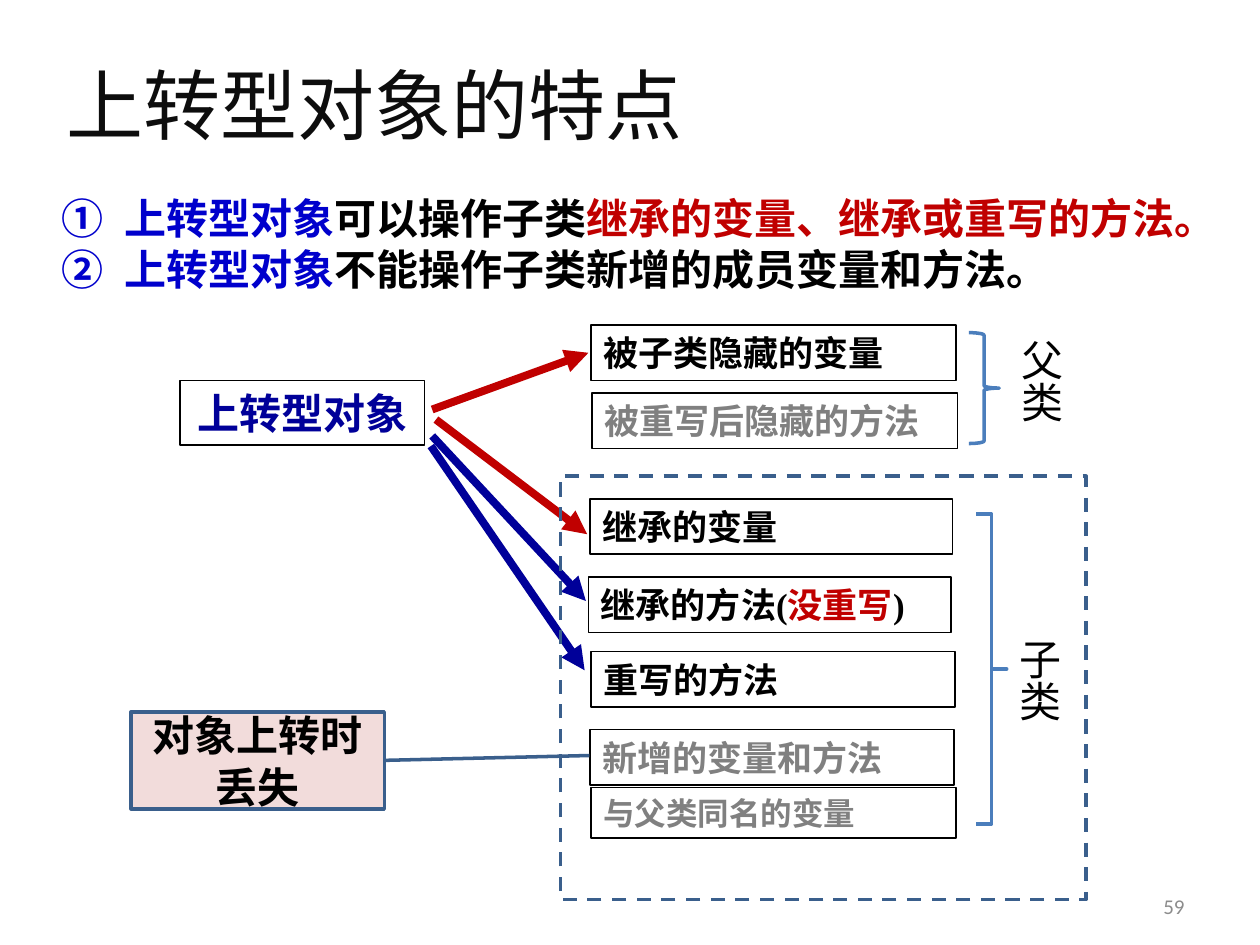
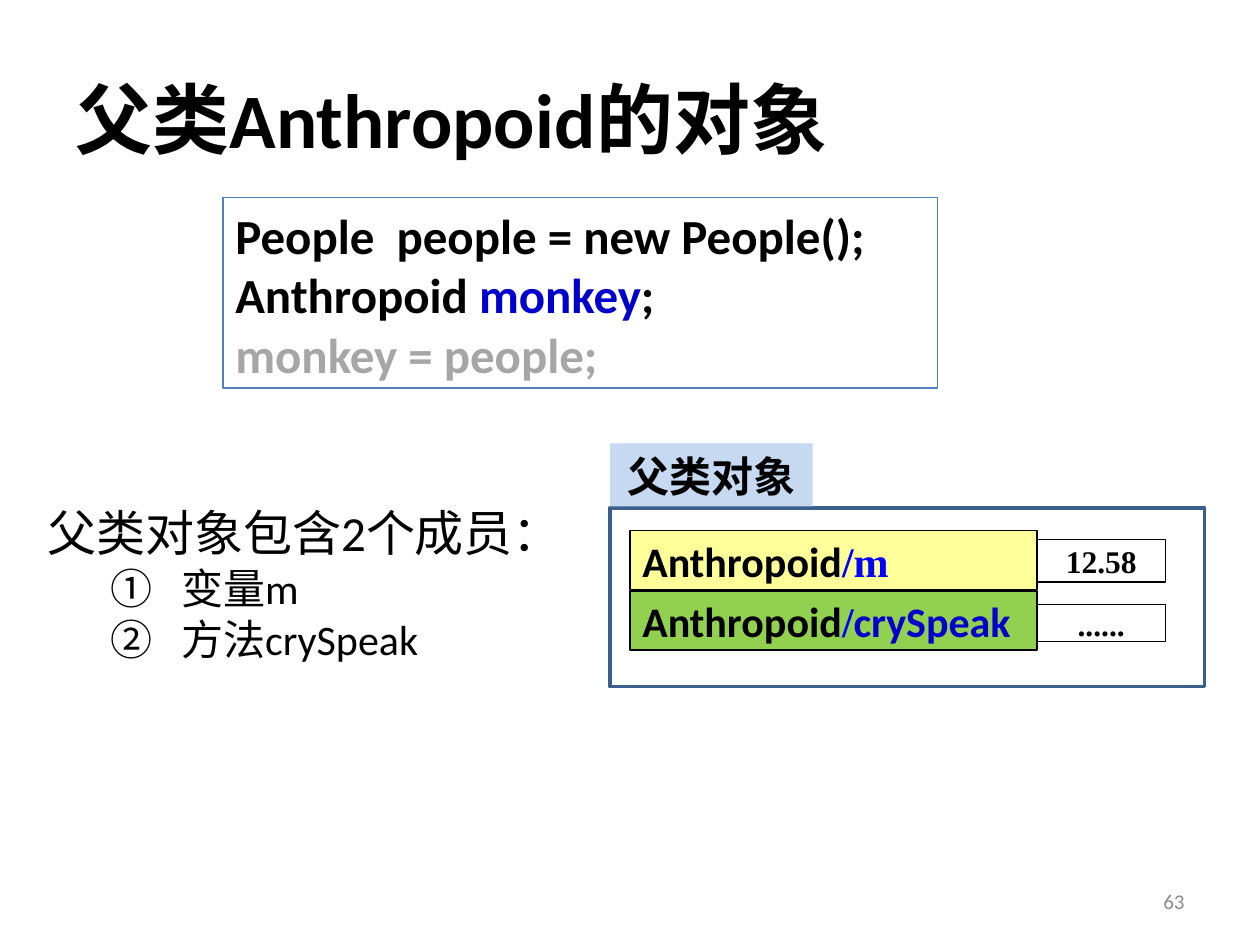
from typing import NamedTuple, Optional

from lxml.etree import SubElement
from pptx import Presentation
from pptx.dml.color import RGBColor
from pptx.enum.dml import MSO_LINE
from pptx.enum.shapes import MSO_CONNECTOR, MSO_SHAPE
from pptx.enum.text import MSO_ANCHOR, MSO_AUTO_SIZE, PP_ALIGN
from pptx.oxml.ns import qn
from pptx.shapes.autoshape import Shape
from pptx.slide import Slide
from pptx.text.text import TextFrame
from pptx.util import Emu, Pt

PX = 9144  # EMU, 100 px to the inch
LINE_HEIGHT = 1.22

CALIBRI = "Calibri"
TIMES = "Times New Roman"
HAN = "Noto Sans CJK SC"

BLACK = RGBColor(0x00, 0x00, 0x00)
INK = RGBColor(0x0D, 0x0D, 0x0D)
GRAY = RGBColor(0x80, 0x80, 0x80)
PALE_GRAY = RGBColor(0xA6, 0xA6, 0xA6)
NUMBER_GRAY = RGBColor(0x8C, 0x8C, 0x8C)
RED = RGBColor(0xC0, 0x00, 0x00)
BLUE = RGBColor(0x00, 0x00, 0xCC)
BRIGHT_BLUE = RGBColor(0x00, 0x00, 0xFF)
NAVY = RGBColor(0x00, 0x00, 0x99)
STEEL = RGBColor(0x3A, 0x5F, 0x8C)
BRACE_BLUE = RGBColor(0x4B, 0x7E, 0xBC)
CODE_BORDER = RGBColor(0x4F, 0x81, 0xBD)
PINK = RGBColor(0xF2, 0xDC, 0xDB)
GREEN = RGBColor(0x92, 0xD0, 0x50)
YELLOW = RGBColor(0xFF, 0xFF, 0x99)
PALE_BLUE = RGBColor(0xC6, 0xD9, 0xF1)


class Box(NamedTuple):
    left: int
    top: int
    width: int
    height: int

    def emu(self) -> list[Emu]:
        return [Emu(length * PX) for length in self]


class Phrase(NamedTuple):
    text: str
    color: RGBColor = BLACK
    font: Optional[str] = None


class Line(NamedTuple):
    phrases: list[Phrase]
    size: int
    font: str = CALIBRI
    bold: bool = True
    align: PP_ALIGN = PP_ALIGN.LEFT
    indent: Optional[tuple[int, int]] = None  # margin and hanging width, numbered


class Look(NamedTuple):
    border: Optional[RGBColor] = BLACK
    weight: float = 1
    fill: Optional[RGBColor] = None
    dashed: bool = False


class Arrow(NamedTuple):
    start: tuple[int, int]
    end: tuple[int, int]
    color: RGBColor


class Member(NamedTuple):
    box: Box
    phrases: list[Phrase]
    size: int = 20


def write(frame: TextFrame, lines: list[Line], anchor: MSO_ANCHOR = MSO_ANCHOR.TOP) -> None:
    frame.word_wrap = True
    frame.auto_size = MSO_AUTO_SIZE.NONE
    frame.vertical_anchor = anchor
    for index, line in enumerate(lines):
        paragraph = frame.add_paragraph() if index else frame.paragraphs[0]
        if line.indent:
            margin, hanging = line.indent
            properties = paragraph._p.get_or_add_pPr()
            properties.set("marL", str(margin * PX))
            properties.set("indent", str(-hanging * PX))
            SubElement(properties, qn("a:buAutoNum"), type="circleNumDbPlain")
        paragraph.alignment = line.align
        paragraph.line_spacing = Pt(round(line.size * LINE_HEIGHT, 1))
        for phrase in line.phrases:
            run = paragraph.add_run()
            run.text = phrase.text
            run.font.size = Pt(line.size)
            run.font.bold = line.bold
            run.font.color.rgb = phrase.color
            run.font.name = phrase.font or line.font
            SubElement(run._r.get_or_add_rPr(), qn("a:ea"), typeface=HAN)


def add_text(slide: Slide, box: Box, lines: list[Line],
             anchor: MSO_ANCHOR = MSO_ANCHOR.TOP) -> Shape:
    label = slide.shapes.add_textbox(*box.emu())
    write(label.text_frame, lines, anchor)
    return label


def add_figure(slide: Slide, kind: MSO_SHAPE, box: Box, look: Look,
               adjustments: tuple[float, ...] = ()) -> Shape:
    figure = slide.shapes.add_shape(kind, *box.emu())
    figure.shadow.inherit = False
    for index, value in enumerate(adjustments):
        figure.adjustments[index] = value
    if look.fill is None:
        figure.fill.background()
    else:
        figure.fill.solid()
        figure.fill.fore_color.rgb = look.fill
    if look.border is None:
        figure.line.fill.background()
    else:
        figure.line.color.rgb = look.border
        figure.line.width = Pt(look.weight)
    if look.dashed:
        figure.line.dash_style = MSO_LINE.DASH
    return figure


def add_panel(slide: Slide, box: Box, look: Look, lines: list[Line],
              anchor: MSO_ANCHOR = MSO_ANCHOR.TOP) -> None:
    """Draw a rectangle that holds text."""
    write(add_figure(slide, MSO_SHAPE.RECTANGLE, box, look).text_frame, lines, anchor)


def add_arrow(slide: Slide, arrow: Arrow) -> None:
    ends = [Emu(value * PX) for value in arrow.start + arrow.end]
    connector = slide.shapes.add_connector(MSO_CONNECTOR.STRAIGHT, *ends)
    connector.line.color.rgb = arrow.color
    connector.line.width = Pt(4.5)
    properties = connector._element.spPr
    SubElement(properties.find(qn("a:ln")), qn("a:tailEnd"), type="triangle")
    SubElement(properties, qn("a:effectLst"))


def add_vertical_label(slide: Slide, box: Box, text: str) -> None:
    label = add_text(slide, box, [Line([Phrase(text)], 24, bold=False)])
    label.text_frame._txBody.bodyPr.set("vert", "eaVert")


def start_slide(deck: Presentation, title_box: Box, title: Line,
                number: str, number_top: int) -> Slide:
    """Add a title-only slide with its title and page number."""
    slide = deck.slides.add_slide(deck.slide_layouts[5])
    heading = slide.shapes.title
    heading.left, heading.top, heading.width, heading.height = title_box.emu()
    write(heading.text_frame, [title], MSO_ANCHOR.MIDDLE)
    page = Line([Phrase(number, NUMBER_GRAY)], 12, bold=False, align=PP_ALIGN.RIGHT)
    add_text(slide, Box(717, number_top, 233, 40), [page], MSO_ANCHOR.MIDDLE)
    return slide


def build_upcast_features(deck: Presentation) -> None:
    title = Line([Phrase("上转型对象的特点", INK)], 44, HAN, bold=False)
    slide = start_slide(deck, Box(43, 27, 900, 109), title, "59", 699)

    rules = [
        [Phrase("可以操作子类"), Phrase("继承的变量、继承或重写的方法。", RED)],
        [Phrase("不能操作子类新增的成员变量和方法。")],
    ]
    add_text(slide, Box(39, 147, 922, 530), [
        Line([Phrase("上转型对象", BLUE), *rule], 24, HAN, indent=(50, 50)) for rule in rules
    ])

    members = [
        Member(Box(469, 258, 290, 44), [Phrase("被子类隐藏的变量")]),
        Member(Box(470, 312, 290, 44), [Phrase("被重写后隐藏的方法", GRAY)]),
        Member(Box(468, 396, 288, 44), [Phrase("继承的变量")]),
        Member(Box(467, 458, 288, 44),
               [Phrase("继承的方法("), Phrase("没重写", RED), Phrase(")")]),
        Member(Box(469, 517, 289, 44), [Phrase("重写的方法")]),
        Member(Box(468, 579, 289, 44), [Phrase("新增的变量和方法", GRAY)]),
        Member(Box(469, 625, 290, 40), [Phrase("与父类同名的变量", GRAY)], 18),
    ]
    for member in members:
        add_panel(slide, member.box, Look(), [Line(member.phrases, member.size, TIMES)])
    add_panel(slide, Box(143, 302, 194, 51), Look(),
              [Line([Phrase("上转型对象", NAVY)], 24, TIMES, align=PP_ALIGN.CENTER)])

    arrows = [
        Arrow((343, 325), (467, 280), RED),
        Arrow((346, 333), (466, 424), RED),
        Arrow((343, 346), (465, 477), NAVY),
        Arrow((342, 354), (464, 532), NAVY),
    ]
    for arrow in arrows:
        add_arrow(slide, arrow)

    brace = Look(BRACE_BLUE, 2)
    add_figure(slide, MSO_SHAPE.RIGHT_BRACE, Box(769, 264, 24, 88), brace)
    add_figure(slide, MSO_SHAPE.RIGHT_BRACE, Box(775, 408, 24, 246), brace, (0, 0.5))
    add_vertical_label(slide, Box(791, 260, 61, 98), "父类")
    add_vertical_label(slide, Box(789, 497, 61, 105), "子类")

    add_figure(slide, MSO_SHAPE.RECTANGLE, Box(445, 378, 417, 336),
               Look(STEEL, 2, dashed=True))
    lost = add_figure(slide, MSO_SHAPE.LINE_CALLOUT_1, Box(104, 565, 201, 77),
                      Look(STEEL, 2, PINK), (0.5, 1, 0.45, 1.81))
    write(lost.text_frame, [Line([Phrase("对象上转时丢失")], 24, align=PP_ALIGN.CENTER)],
          MSO_ANCHOR.MIDDLE)


def build_parent_object(deck: Presentation) -> None:
    title = Line([Phrase("父类Anthropoid的对象")], 44)
    slide = start_slide(deck, Box(50, 30, 900, 125), title, "63", 695)

    thin = Look(weight=0.75)
    values = [(Box(823, 428, 102, 34), "12.58"), (Box(823, 480, 102, 29), "......")]
    for box, value in values:
        add_panel(slide, box, thin,
                  [Line([Phrase(value)], 18, TIMES, align=PP_ALIGN.CENTER)],
                  MSO_ANCHOR.MIDDLE)

    fields = [
        (YELLOW, [Phrase("/m", BRIGHT_BLUE, TIMES)]),
        (GREEN, [Phrase("/", BRIGHT_BLUE, TIMES), Phrase("crySpeak", BLUE)]),
    ]
    for row, (fill, name) in enumerate(fields):
        add_panel(slide, Box(500, 421 + 48 * row, 323, 47), thin._replace(fill=fill),
                  [Line([Phrase("Anthropoid"), *name], 24)], MSO_ANCHOR.MIDDLE)
    add_figure(slide, MSO_SHAPE.RECTANGLE, Box(484, 403, 472, 142), Look(STEEL, 2))

    add_text(slide, Box(28, 393, 425, 138), [
        Line([Phrase("父类对象包含2个成员：")], 28, bold=False),
        *[Line([Phrase(name)], 24, bold=False, indent=(106, 56))
          for name in ("变量m", "方法crySpeak")],
    ])

    code = [
        [Phrase("People  people = new People();")],
        [Phrase("Anthropoid "), Phrase("monkey", BLUE), Phrase(";")],
        [Phrase("monkey = people;", PALE_GRAY)],
    ]
    add_panel(slide, Box(177, 157, 567, 151), Look(CODE_BORDER, 0.75),
              [Line(phrases, 28) for phrases in code])
    add_panel(slide, Box(484, 352, 161, 50), Look(None, fill=PALE_BLUE),
              [Line([Phrase("父类对象")], 24, align=PP_ALIGN.CENTER)])


def main() -> None:
    deck = Presentation()
    deck.slide_width, deck.slide_height = Emu(1000 * PX), Emu(750 * PX)
    build_upcast_features(deck)
    build_parent_object(deck)
    deck.save("out.pptx")


if __name__ == "__main__":
    main()
